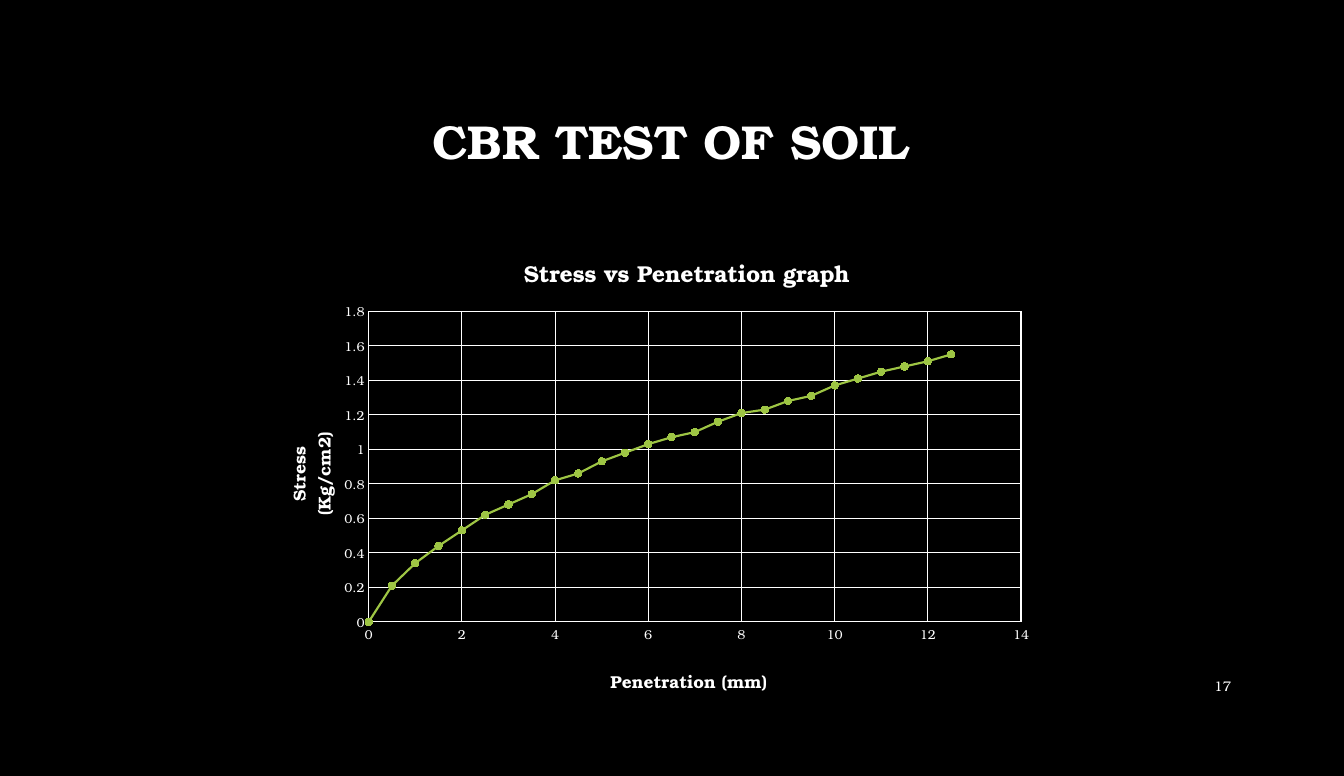
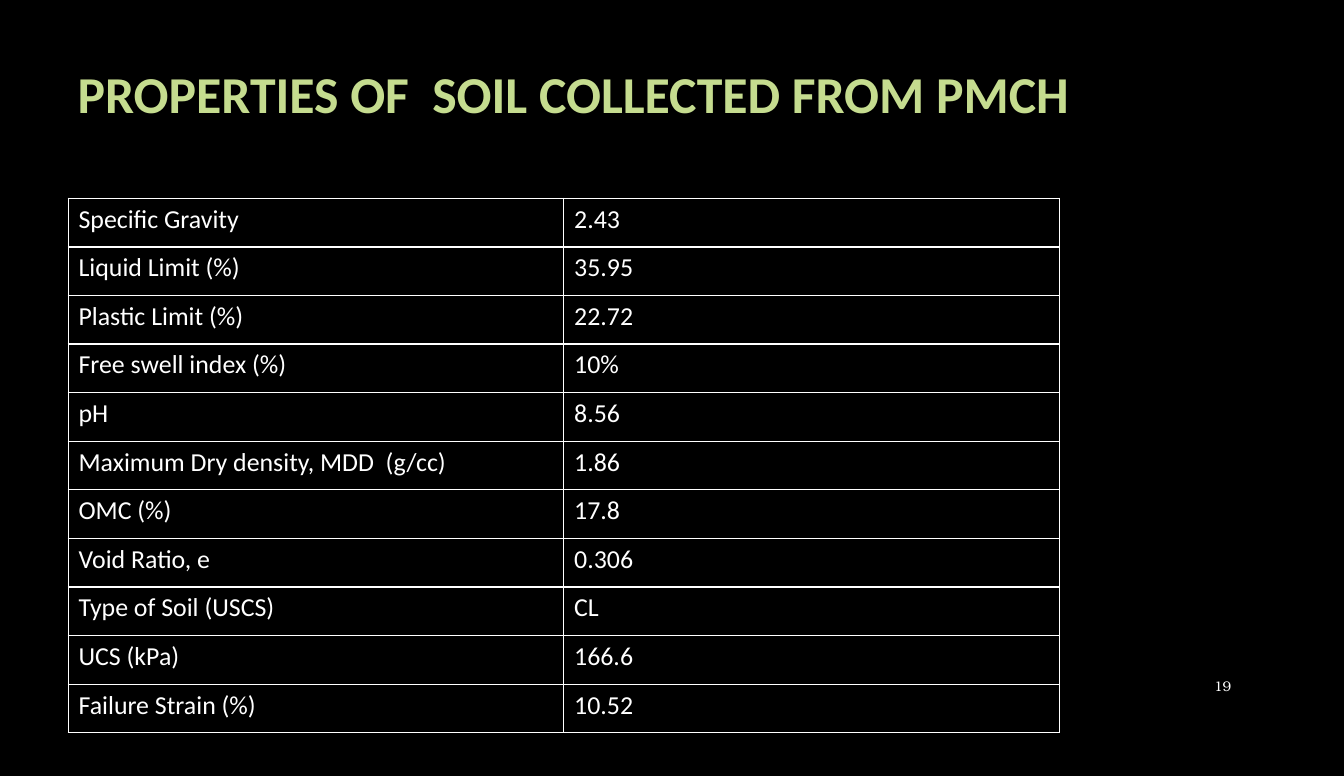
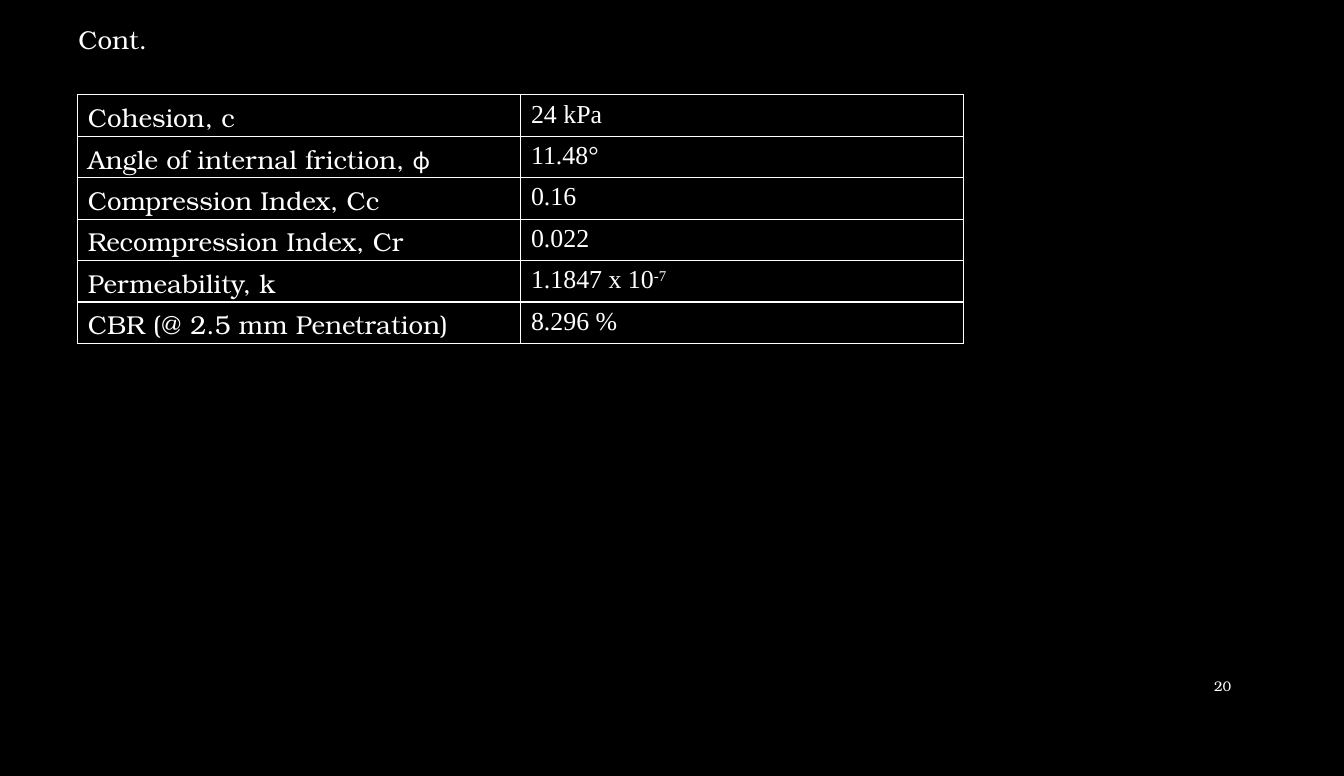
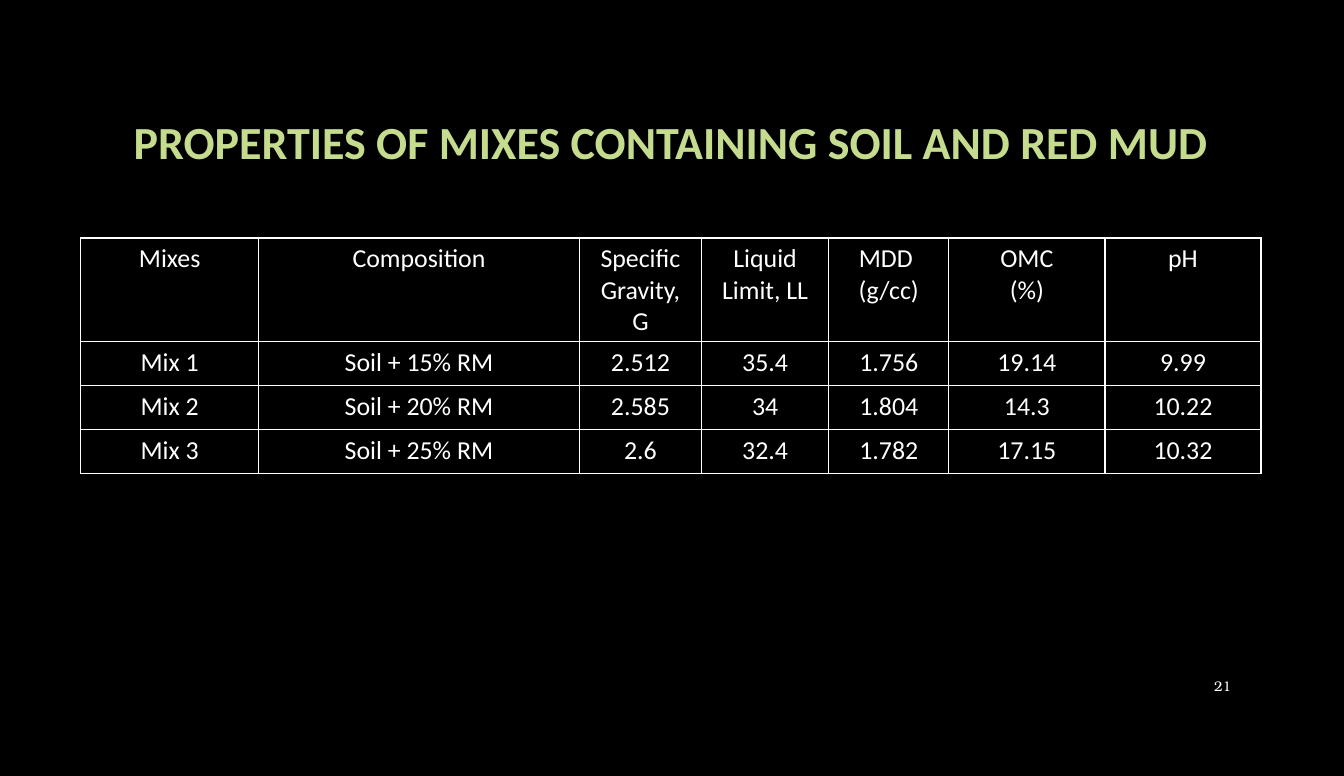
from dataclasses import dataclass, replace

from lxml import etree
from pptx import Presentation
from pptx.chart.data import XyChartData
from pptx.dml.color import RGBColor
from pptx.enum.chart import XL_CHART_TYPE, XL_MARKER_STYLE, XL_TICK_MARK
from pptx.enum.text import MSO_ANCHOR, MSO_AUTO_SIZE, PP_ALIGN
from pptx.oxml.ns import qn
from pptx.util import Pt


@dataclass(frozen=True)
class Style:
    font: str
    size: float
    color: RGBColor
    bold: bool = False
    baseline: int = 0


class Theme:
    black = RGBColor(0x00, 0x00, 0x00)
    white = RGBColor(0xFF, 0xFF, 0xFF)
    lime = RGBColor(0xC5, 0xDC, 0x8F)
    green = RGBColor(0x9E, 0xC5, 0x44)
    serif, sans, roman = "TeX Gyre Bonum", "Calibri", "Times New Roman"
    rule = 1
    grid = 0.75
    curve = 1.5
    marker = 5
    serif_title = Style(serif, 33.1, white, True)
    large_title = Style(sans, 36, lime, True)
    sans_title = Style(sans, 32, lime, True)
    serif_text = Style(serif, 18, white)
    sans_text = Style(sans, 18, white)
    roman_text = Style(roman, 18, white)
    page_number = Style(serif, 9.7, white)
    chart_text = Style(serif, 10, white)
    tick_label = Style(serif, 9, white)
    axis_title = Style(serif, 12, white, True)
    chart_title = Style(serif, 16, white, True)


SLIDE_SIZE = (935.28, 540)
TITLE_BOX = (70, 48.25, 794, 104.5)
NUMBER_BOX = (806.4, 463, 57.6, 28.8)

STRESS = [
    0, 0.21, 0.34, 0.44, 0.53, 0.62, 0.68, 0.74, 0.82, 0.86, 0.93, 0.98, 1.03,
    1.07, 1.1, 1.16, 1.21, 1.23, 1.28, 1.31, 1.37, 1.41, 1.45, 1.48, 1.51, 1.55,
]
PENETRATION_STEP = 0.5

SOIL_PROPERTIES = [
    ("Specific Gravity", "2.43"),
    ("Liquid Limit (%)", "35.95"),
    ("Plastic Limit (%)", "22.72"),
    ("Free swell index (%)", "10%"),
    ("pH", "8.56"),
    ("Maximum Dry density, MDD  (g/cc)", "1.86"),
    ("OMC (%)", "17.8"),
    ("Void Ratio, e", "0.306"),
    ("Type of Soil (USCS)", "CL"),
    ("UCS (kPa)", "166.6"),
    ("Failure Strain (%)", "10.52"),
]

# A cell is plain text, or a list of (text, style changes) spans.
STRENGTH_PROPERTIES = [
    ("Cohesion, c", "24 kPa"),
    ([("Angle of internal friction, ", {}), ("ϕ", {"font": Theme.sans})], "11.48°"),
    ("Compression Index, Cc", "0.16"),
    ("Recompression Index, Cr", "0.022"),
    ("Permeability, k", [("1.1847 x 10", {}), ("-7", {"baseline": 30000})]),
    ("CBR (@ 2.5 mm Penetration)", "8.296 %"),
]

MIX_PROPERTIES = [
    ("Mixes", "Composition", "Specific Gravity, G", "Liquid Limit, LL",
     "MDD  (g/cc)", "OMC\n(%)", "pH"),
    ("Mix 1", "Soil + 15% RM", "2.512", "35.4", "1.756", "19.14", "9.99"),
    ("Mix 2", "Soil + 20% RM", "2.585", "34", "1.804", "14.3", "10.22"),
    ("Mix 3", "Soil + 25% RM", "2.6", "32.4", "1.782", "17.15", "10.32"),
]


def points(values):
    return [Pt(value) for value in values]


def apply_font(font, style):
    font.name = style.font
    font.size = Pt(style.size)
    font.bold = style.bold
    font.color.rgb = style.color


def write(frame, content, style, align=PP_ALIGN.LEFT, spacing=None):
    """Fill a text frame; each line of plain text becomes a paragraph."""
    if isinstance(content, str):
        paragraphs = [[(line, {})] for line in content.split("\n")]
    else:
        paragraphs = [content]
    for index, spans in enumerate(paragraphs):
        para = frame.add_paragraph() if index else frame.paragraphs[0]
        para.alignment = align
        if spacing:
            para.line_spacing = spacing
        for text, changes in spans:
            span_style = replace(style, **changes)
            span = para.add_run()
            span.text = text
            apply_font(span.font, span_style)
            if span_style.baseline:
                span._r.get_or_add_rPr().set("baseline", str(span_style.baseline))


def add_text(page, box, text, style, align=PP_ALIGN.LEFT, anchor=MSO_ANCHOR.TOP):
    frame = page.shapes.add_textbox(*points(box)).text_frame
    frame.word_wrap = True
    frame.vertical_anchor = anchor
    write(frame, text, style, align)


def add_page(deck, number, title=None, style=None, align=PP_ALIGN.CENTER):
    page = deck.slides.add_slide(deck.slide_layouts[5 if title else 6])
    if title:
        frame = page.shapes.title.text_frame
        frame.auto_size = MSO_AUTO_SIZE.NONE
        frame.vertical_anchor = MSO_ANCHOR.MIDDLE
        write(frame, title, style, align, spacing=0.9)
    add_text(page, NUMBER_BOX, str(number), Theme.page_number,
             PP_ALIGN.RIGHT, MSO_ANCHOR.MIDDLE)
    return page


def place(shape, box):
    shape.left, shape.top, shape.width, shape.height = points(box)


def add_borders(cell):
    properties = cell._tc.get_or_add_tcPr()
    for side in ("lnL", "lnR", "lnT", "lnB"):
        line = etree.SubElement(properties, qn("a:" + side), w=str(Pt(Theme.rule)))
        fill = etree.SubElement(line, qn("a:solidFill"))
        etree.SubElement(fill, qn("a:srgbClr"), val=str(Theme.white))


def add_grid(page, corner, widths, heights, rows, styles, align=PP_ALIGN.LEFT):
    """Add a ruled table; styles holds one text style per column."""
    table = page.shapes.add_table(
        len(rows), len(widths),
        *points((*corner, sum(widths), sum(heights)))).table
    table.first_row = table.horz_banding = False
    for column, width in zip(table.columns, widths):
        column.width = Pt(width)
    for row, height, contents in zip(table.rows, heights, rows):
        row.height = Pt(height)
        for cell, content, style in zip(row.cells, contents, styles):
            add_borders(cell)
            cell.fill.solid()
            cell.fill.fore_color.rgb = Theme.black
            write(cell.text_frame, content, style, align)


def set_layout(element, index, **fractions):
    """Place a chart part by fractions of the chart's size."""
    for old in element.findall(qn("c:layout")):
        element.remove(old)
    layout = etree.Element(qn("c:layout"))
    manual = etree.SubElement(layout, qn("c:manualLayout"))
    if "w" in fractions:
        etree.SubElement(manual, qn("c:layoutTarget"), val="inner")
    for side in ("x", "y"):
        etree.SubElement(manual, qn(f"c:{side}Mode"), val="edge")
    for name, value in fractions.items():
        etree.SubElement(manual, qn("c:" + name), val=str(value))
    element.insert(index, layout)


def add_chart_title(title, text, style, x, y):
    write(title.text_frame, text, style, PP_ALIGN.CENTER)
    set_layout(title.element, 1, x=x, y=y)


def format_axis(axis, maximum, step, title, x, y):
    axis.minimum_scale, axis.maximum_scale = 0, maximum
    axis.major_unit = step
    axis.major_tick_mark = axis.minor_tick_mark = XL_TICK_MARK.NONE
    axis.has_major_gridlines = True
    for line in (axis.format.line, axis.major_gridlines.format.line):
        line.color.rgb = Theme.white
        line.width = Pt(Theme.grid)
    apply_font(axis.tick_labels.font, Theme.tick_label)
    axis.has_title = True
    add_chart_title(axis.axis_title, title, Theme.axis_title, x, y)


def add_stress_chart(page):
    data = XyChartData()
    points_series = data.add_series("Series 1")
    for index, stress in enumerate(STRESS):
        points_series.add_data_point(index * PENETRATION_STEP, stress)
    chart = page.shapes.add_chart(
        XL_CHART_TYPE.XY_SCATTER_LINES,
        *points((173.5, 164.2, 553.7, 327.6)), data).chart
    apply_font(chart.font, Theme.chart_text)
    chart.has_legend = False

    background = etree.Element(qn("c:spPr"))
    etree.SubElement(background, qn("a:noFill"))
    border = etree.SubElement(background, qn("a:ln"))
    etree.SubElement(border, qn("a:noFill"))
    chart.element.find(qn("c:chart")).addnext(background)

    chart.has_title = True
    add_chart_title(chart.chart_title, "Stress vs Penetration graph",
                    Theme.chart_title, 0.34, 0.03)
    format_axis(chart.category_axis, 14, 2, "Penetration (mm)", 0.45, 0.91)
    format_axis(chart.value_axis, 1.8, 0.2, "Stress\n(Kg/cm2)", 0.04, 0.41)
    turned = chart.value_axis.axis_title.element.find(".//" + qn("a:bodyPr"))
    turned.set("rot", "-5400000")
    turned.set("vert", "horz")
    set_layout(chart.element.find(".//" + qn("c:plotArea")), 0,
               x=0.15, y=0.16, w=0.82, h=0.66)

    plot = chart.plots[0]
    plot.vary_by_categories = False
    series = plot.series[0]
    series.smooth = False
    series.format.line.color.rgb = Theme.green
    series.format.line.width = Pt(Theme.curve)
    marker = series.marker
    marker.style = XL_MARKER_STYLE.CIRCLE
    marker.size = Theme.marker
    marker.format.fill.solid()
    marker.format.fill.fore_color.rgb = Theme.green
    marker.format.line.color.rgb = Theme.green


def add_cbr_page(deck):
    page = add_page(deck, 17, "CBR TEST OF SOIL", Theme.serif_title)
    add_stress_chart(page)


def add_soil_page(deck):
    page = add_page(deck, 19, "PROPERTIES OF  SOIL COLLECTED FROM PMCH",
                    Theme.large_title, PP_ALIGN.LEFT)
    title = page.shapes.title
    place(title, (46.8, 41.75, 841.7, 90.75))
    title.text_frame.vertical_anchor = MSO_ANCHOR.TOP
    title.text_frame.margin_top = Pt(6)
    add_grid(page, (47.5, 138), [344.9] * 2, [33.84] * len(SOIL_PROPERTIES),
             SOIL_PROPERTIES, [Theme.sans_text] * 2)


def add_strength_page(deck):
    page = add_page(deck, 20)
    add_grid(page, (54, 66), [308.4] * 2, [28.8] * len(STRENGTH_PROPERTIES),
             STRENGTH_PROPERTIES, [Theme.serif_text, Theme.roman_text])
    add_text(page, (47.5, 13, 113.8, 28.8), "Cont.", Theme.serif_text)


def add_mixes_page(deck):
    page = add_page(deck, 21, "PROPERTIES OF MIXES CONTAINING SOIL AND RED MUD",
                    Theme.sans_title)
    widths = [123.8, 223.2, 85, 88.6, 83.5, 108.7, 108.7]
    add_grid(page, (56.2, 165.6), widths, [72] + [30.7] * 3,
             MIX_PROPERTIES, [Theme.sans_text] * len(widths), PP_ALIGN.CENTER)


def main():
    deck = Presentation()
    deck.slide_width, deck.slide_height = points(SLIDE_SIZE)
    master = deck.slide_master
    master.background.fill.solid()
    master.background.fill.fore_color.rgb = Theme.black
    place(master.placeholders[0], TITLE_BOX)
    for add_slide in (add_cbr_page, add_soil_page, add_strength_page, add_mixes_page):
        add_slide(deck)
    deck.save("out.pptx")


if __name__ == "__main__":
    main()
